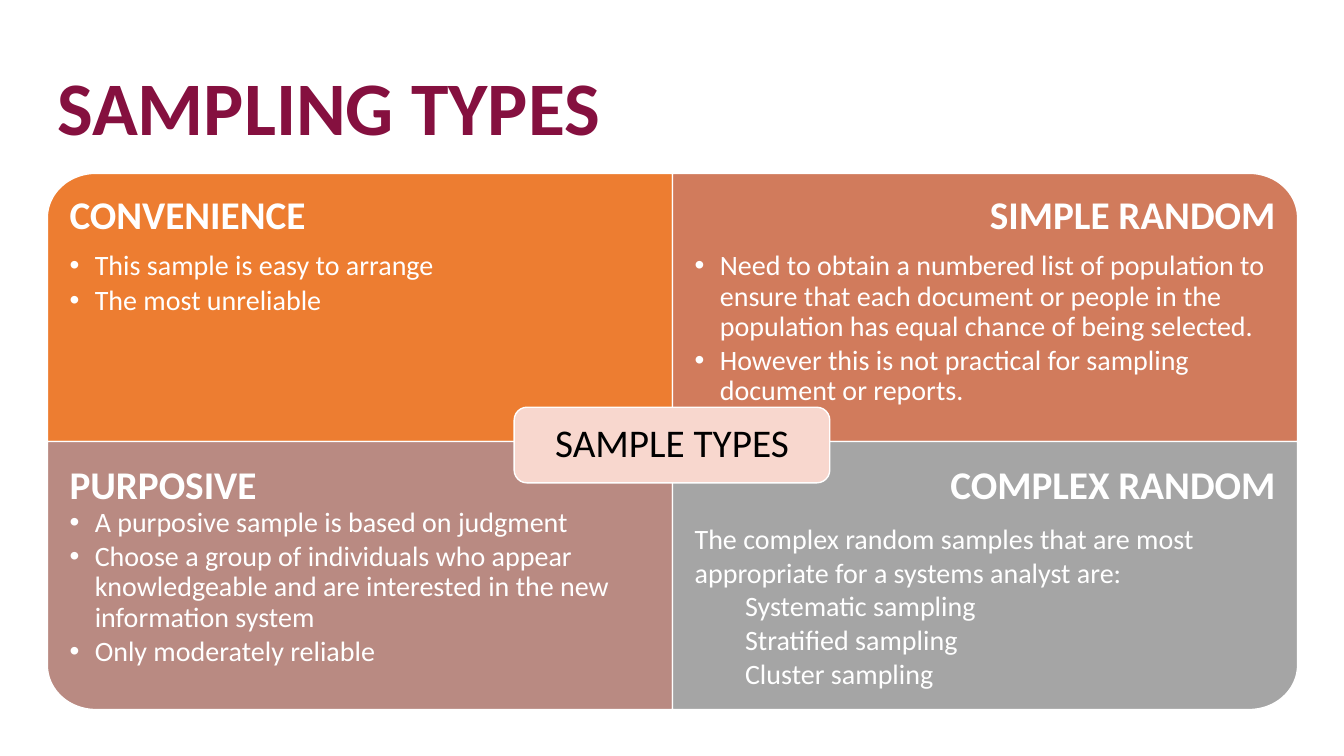
from dataclasses import dataclass
from math import cos, pi, sin

from lxml.etree import SubElement
from pptx import Presentation
from pptx.dml.color import RGBColor
from pptx.enum.shapes import MSO_SHAPE
from pptx.enum.text import MSO_ANCHOR, PP_ALIGN
from pptx.oxml.ns import qn
from pptx.slide import Slide
from pptx.util import Pt

PX = 9144
WHITE = "FFFFFF"
CENTER_X, CENTER_Y = 667, 438
QUADRANT_WIDTH, QUADRANT_HEIGHT = 620, 266
CORNER_WIDTH, CORNER_HEIGHT = 48, 44
ARC_STEPS = 24

TIGHT = {"line_spacing": 0.9}
HEADING = TIGHT | {"space_after": Pt(9.8)}
BULLET = TIGHT | {"space_after": Pt(3), "level": 1}
HEADING_FONT = {"size": Pt(28), "bold": True}
BODY_FONT = {"size": Pt(20), "bold": False}


def heading(text, **changes):
    return text, HEADING | changes, HEADING_FONT, None


def bullet(text):
    return text, BULLET, BODY_FONT, (25, -25, "•")


def body(text):
    return text, {}, BODY_FONT, None


def indented(text):
    return text, {"level": 1}, BODY_FONT, (50, 0, None)


QUADRANTS = [
    (-1, -1, "ED7D31", (22, 22, 22, 88), [
        heading("CONVENIENCE"),
        bullet("This sample is easy to arrange"),
        bullet("The most unreliable"),
    ]),
    (1, -1, "D17B5C", (22, 22, 22, 88), [
        heading("SIMPLE RANDOM", alignment=PP_ALIGN.RIGHT),
        bullet("Need to obtain a numbered list of population to ensure that each "
               "document or people in the population has equal chance of being selected."),
        bullet("However this is not practical for sampling document or reports."),
    ]),
    (-1, 1, "B98A82", (22, 24, 22, 22), [
        heading("PURPOSIVE", space_after=Pt(0)),
        bullet("A purposive sample is based on judgment"),
        bullet("Choose a group of individuals who appear knowledgeable and are "
               "interested in the new information system"),
        bullet("Only moderately reliable"),
    ]),
    (1, 1, "A5A5A5", (22, 24, 22, 22), [
        heading("COMPLEX RANDOM", alignment=PP_ALIGN.RIGHT),
        body("The complex random samples that are most appropriate for a systems analyst are:"),
        indented("Systematic sampling"),
        indented("Stratified sampling"),
        indented("Cluster sampling"),
    ]),
]


def color(value):
    return RGBColor.from_string(value)


def apply(target, values):
    for name, value in values.items():
        setattr(target, name, value)


@dataclass
class SlideBuilder:
    """Draws styled elements on one page, measured in px."""

    page: Slide
    font: str = "Calibri"

    def fill_text(self, box, lines, ink, insets, anchor=MSO_ANCHOR.TOP):
        frame = box.text_frame
        sides = ("margin_left", "margin_top", "margin_right", "margin_bottom")
        apply(frame, {"word_wrap": True, "vertical_anchor": anchor})
        apply(frame, {side: inset * PX for side, inset in zip(sides, insets)})
        for index, (text, layout, face, indent) in enumerate(lines):
            para = frame.add_paragraph() if index else frame.paragraphs[0]
            apply(para, {"alignment": PP_ALIGN.LEFT} | layout)
            if indent:
                self.indent(para, *indent)
            span = para.add_run()
            span.text = text
            apply(span.font, {"name": self.font} | face)
            span.font.color.rgb = color(ink)

    def indent(self, para, margin, first, mark):
        properties = para._p.get_or_add_pPr()
        properties.set("marL", str(margin * PX))
        properties.set("indent", str(first * PX))
        if mark:
            SubElement(properties, qn("a:buFont")).set("typeface", "Arial")
            SubElement(properties, qn("a:buChar")).set("char", mark)
        else:
            SubElement(properties, qn("a:buNone"))

    def paint(self, box, fill):
        box.shadow.inherit = False
        box.fill.solid()
        box.fill.fore_color.rgb = color(fill)
        box.line.color.rgb = color(WHITE)
        box.line.width = Pt(1)

    def title(self, text, place):
        box = self.page.shapes.add_textbox(*(length * PX for length in place))
        line = (text, TIGHT, {"size": Pt(54), "bold": True}, None)
        self.fill_text(box, [line], "85103F", (10, 5, 10, 5))

    def quadrant(self, side_x, side_y, fill, insets, lines):
        outer_x = CENTER_X + side_x * QUADRANT_WIDTH
        outer_y = CENTER_Y + side_y * QUADRANT_HEIGHT
        angles = [step * pi / 2 / ARC_STEPS for step in range(ARC_STEPS + 1)]
        arc = [(outer_x - side_x * CORNER_WIDTH * (1 - cos(angle)),
                outer_y - side_y * CORNER_HEIGHT * (1 - sin(angle))) for angle in angles]
        points = [(outer_x, CENTER_Y), *arc, (CENTER_X, outer_y)]
        outline = self.page.shapes.build_freeform(CENTER_X * PX, CENTER_Y * PX)
        outline.add_line_segments([(round(x * PX), round(y * PX)) for x, y in points])
        box = outline.convert_to_shape()
        self.paint(box, fill)
        self.fill_text(box, lines, WHITE, insets)

    def label(self, text, place, fill):
        box = self.page.shapes.add_shape(
            MSO_SHAPE.ROUNDED_RECTANGLE, *(length * PX for length in place))
        box.adjustments[0] = 0.17
        self.paint(box, fill)
        line = (text, TIGHT | {"alignment": PP_ALIGN.CENTER},
                {"size": Pt(28), "bold": False}, None)
        self.fill_text(box, [line], "000000", (15, 15, 15, 15), MSO_ANCHOR.MIDDLE)


def main():
    deck = Presentation()
    deck.slide_width, deck.slide_height = 1333 * PX, 750 * PX
    builder = SlideBuilder(deck.slides.add_slide(deck.slide_layouts[6]))
    builder.title("SAMPLING TYPES", (47, 65, 1150, 106))
    for quadrant in QUADRANTS:
        builder.quadrant(*quadrant)
    builder.label("SAMPLE TYPES", (510, 404, 313, 75), "F8D7CE")
    deck.save("out.pptx")


if __name__ == "__main__":
    main()
